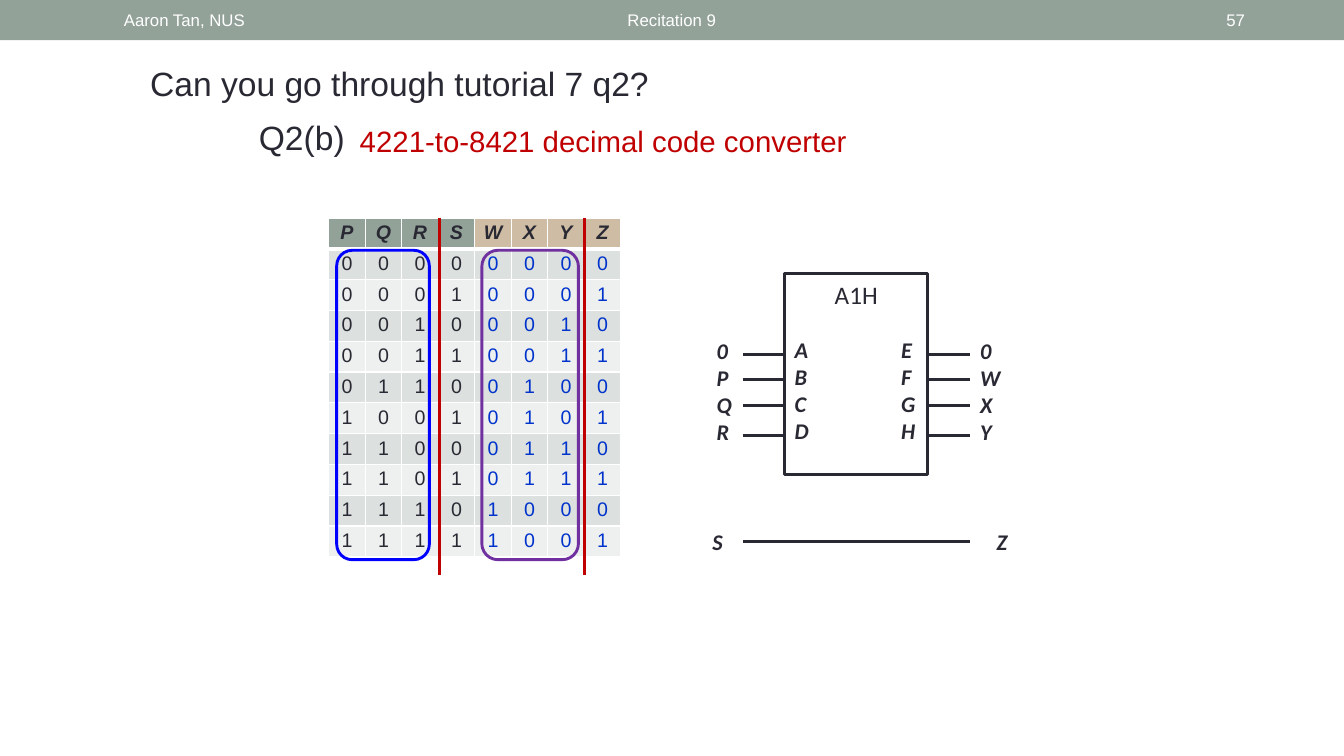
from lxml import etree
from pptx import Presentation
from pptx.dml.color import RGBColor
from pptx.enum.shapes import MSO_CONNECTOR, MSO_SHAPE
from pptx.enum.text import MSO_ANCHOR, PP_ALIGN
from pptx.oxml.ns import qn
from pptx.util import Pt

STRAIGHT = MSO_CONNECTOR.STRAIGHT
RECTANGLE, ROUNDED = MSO_SHAPE.RECTANGLE, MSO_SHAPE.ROUNDED_RECTANGLE
LEFT, CENTER, RIGHT = PP_ALIGN.LEFT, PP_ALIGN.CENTER, PP_ALIGN.RIGHT
TOP, MIDDLE = MSO_ANCHOR.TOP, MSO_ANCHOR.MIDDLE

COLORS = {
    "ink": "292934",
    "white": "FFFFFF",
    "sage": "93A299",
    "sand": "CEBCA4",
    "dark_band": "DCE0DE",
    "light_band": "EEF0EF",
    "output": "0033CC",
    "red": "C00000",
    "blue": "0000FF",
    "purple": "7030A0",
}
HEADINGS = "PQRSWXYZ"
CODES = [
    "00000000", "00010001", "00100010", "00110011", "01100100",
    "10010101", "11000110", "11010111", "11101000", "11111001",
]
COLUMN_WIDTH, ROW_HEIGHT = 26.1, 21.6
TABLE_LEFT, TABLE_TOP = 234.8, 155.8


def color(name):
    return RGBColor.from_string(COLORS[name])


def format_text(frame, size, ink="ink", font="Arial", align=LEFT, strong=False):
    for para in frame.paragraphs:
        para.alignment = align
        for span in para.runs:
            span.font.size = Pt(size)
            span.font.name = font
            span.font.bold = span.font.italic = strong
            span.font.color.rgb = color(ink)


def add_text(page, text, left, top, width, height, size, anchor=TOP, **style):
    box = page.shapes.add_textbox(Pt(left), Pt(top), Pt(width), Pt(height))
    frame = box.text_frame
    frame.word_wrap = True
    frame.vertical_anchor = anchor
    frame.text = text
    format_text(frame, size, **style)
    return box


def add_labels(page, letters, left, top, width):
    add_text(page, "\n".join(letters), left, top, width, 22 + 21 * (len(letters) - 1),
             16, font="Calibri", strong=True)


def add_box(page, kind, left, top, width, height, fill=None, line=None, weight=2.25):
    shape = page.shapes.add_shape(kind, Pt(left), Pt(top), Pt(width), Pt(height))
    shape.shadow.inherit = False
    if fill:
        shape.fill.solid()
        shape.fill.fore_color.rgb = color(fill)
    else:
        shape.fill.background()
    if line:
        shape.line.color.rgb = color(line)
        shape.line.width = Pt(weight)
    else:
        shape.line.fill.background()


def add_line(page, x1, y1, x2, y2, ink="ink", weight=2.25):
    line = page.shapes.add_connector(STRAIGHT, Pt(x1), Pt(y1), Pt(x2), Pt(y2))
    line.line.color.rgb = color(ink)
    line.line.width = Pt(weight)
    etree.SubElement(line._element.spPr, qn("a:effectLst"))


def add_borders(cell, weights):
    properties = cell._tc.get_or_add_tcPr()
    for side, weight in weights.items():
        border = etree.SubElement(properties, qn(f"a:ln{side}"), w=str(Pt(weight)))
        fill = etree.SubElement(border, qn("a:solidFill"))
        etree.SubElement(fill, qn("a:srgbClr"), val=COLORS["white"])


def fill_cell(cell, text, row, column):
    is_heading, is_output = row == 0, column >= 4
    add_borders(cell, {"L": 1, "R": 1, "T": 3 if row == 1 else 1, "B": 3 if is_heading else 1})
    if is_heading:
        fill = "sand" if is_output else "sage"
    else:
        fill = "dark_band" if row % 2 else "light_band"
    cell.fill.solid()
    cell.fill.fore_color.rgb = color(fill)
    cell.margin_left = cell.margin_right = Pt(5)
    cell.margin_top = cell.margin_bottom = Pt(2.6)
    cell.text_frame.text = text
    ink = "output" if is_output and not is_heading else "ink"
    format_text(cell.text_frame, 14, ink=ink, align=CENTER, strong=is_heading)


def add_truth_table(page):
    rows = [HEADINGS, *CODES]
    frame = page.shapes.add_table(
        len(rows), len(HEADINGS), Pt(TABLE_LEFT), Pt(TABLE_TOP),
        Pt(COLUMN_WIDTH * len(HEADINGS)), Pt(ROW_HEIGHT * len(rows)))
    table = frame.table
    table.horz_banding = False
    for column in table.columns:
        column.width = Pt(COLUMN_WIDTH)
    for row, values in enumerate(rows):
        table.rows[row].height = Pt(ROW_HEIGHT)
        for column, value in enumerate(values):
            fill_cell(table.cell(row, column), value, row, column)


def add_table_marks(page):
    for x in (314, 417.6):
        add_line(page, x, 155.5, x, 410.4, "red", 2)
    add_box(page, ROUNDED, 240.5, 178.8, 66.2, 221, line="blue", weight=2.08)
    add_box(page, ROUNDED, 344.2, 178.8, 69, 221, line="purple", weight=2.08)


def add_converter(page):
    add_text(page, "A1H", 576.7, 195.8, 69.8, 29, 18, font="Calibri", align=CENTER)
    add_box(page, RECTANGLE, 560.5, 195.5, 102.3, 143.3, line="ink")
    for letters, left, top in (("ABCD", 560.5, 236.9), ("EFGH", 636.5, 236.9),
                               ("0PQR", 504.7, 237.4), ("0WXY", 693, 237.4)):
        add_labels(page, letters, left, top, 32)
    for y in (253.2, 271.2, 289.9, 311):
        for left, right in ((530.6, 560.5), (662.8, 692.9)):
            add_line(page, left, y, right, y)


def add_direct_wire(page):
    add_labels(page, "S", 501.8, 373.7, 28)
    add_labels(page, "Z", 704.9, 373.7, 36)
    add_line(page, 530.6, 386.8, 692.9, 386.8)


def add_header(page):
    add_box(page, RECTANGLE, 0, 0, 960, 28.8, fill="sage")
    for text, left, width, align in (("Aaron Tan, NUS", 81.4, 228, LEFT),
                                     ("Recitation 9", 217.4, 525, CENTER),
                                     ("57", 828, 68.4, RIGHT)):
        add_text(page, text, left, 1.4, width, 26, 12, anchor=MIDDLE,
                 ink="white", align=align)


def add_headings(page):
    title = page.shapes.title
    title.left, title.top, title.width, title.height = Pt(100), Pt(41), Pt(436), Pt(36)
    title.text_frame.text = "Can you go through tutorial 7 q2?"
    title.text_frame.vertical_anchor = TOP
    format_text(title.text_frame, 24)
    add_text(page, "4221-to-8421 decimal code converter", 244, 84.4, 373.7, 32.5, 21,
             ink="red", align=CENTER)
    part = add_text(page, "Q2(b)", 177.8, 83.5, 92.9, 33.8, 24)
    part.text_frame.paragraphs[0].line_spacing = 0.9


def main():
    deck = Presentation()
    deck.slide_width, deck.slide_height = Pt(960), Pt(540)
    page = deck.slides.add_slide(deck.slide_layouts[5])
    add_header(page)
    add_headings(page)
    add_truth_table(page)
    add_table_marks(page)
    add_converter(page)
    add_direct_wire(page)
    deck.save("out.pptx")


if __name__ == "__main__":
    main()
